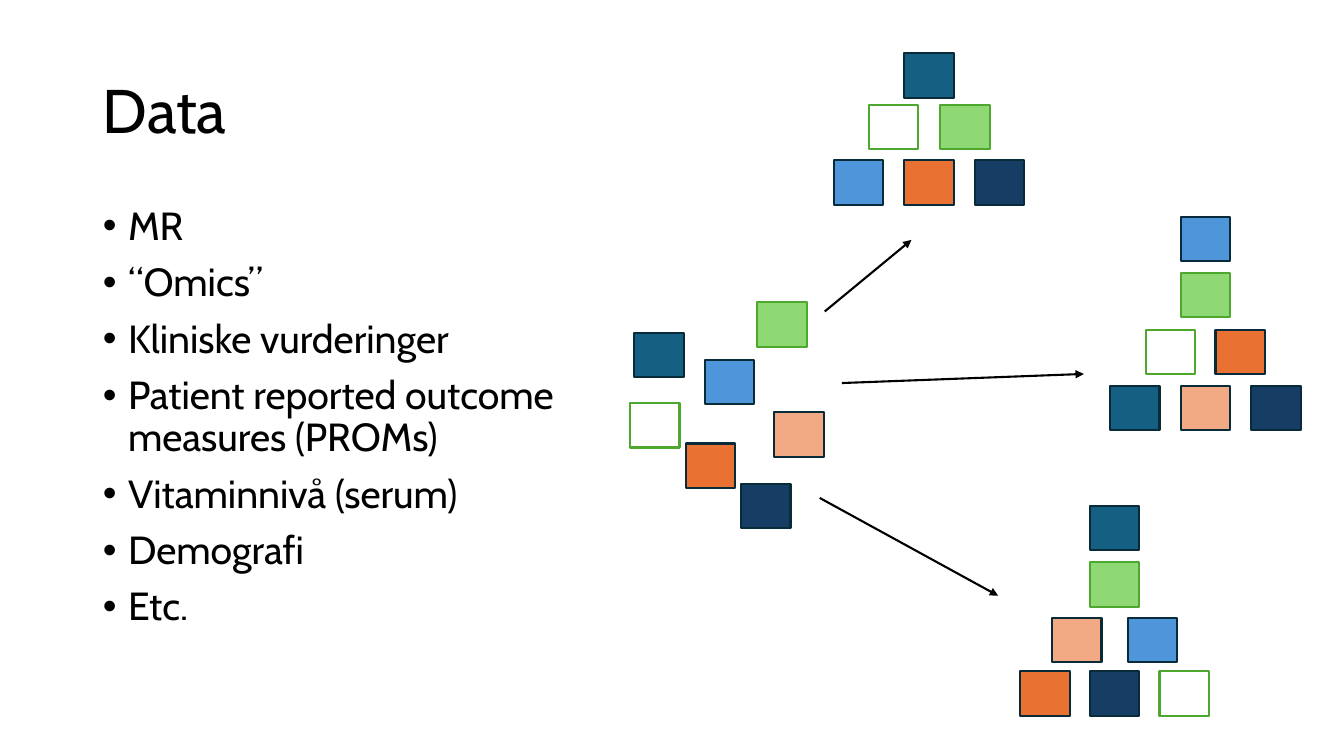
from lxml.etree import SubElement as Sub
from pptx import Presentation
from pptx.dml.color import RGBColor
from pptx.enum.shapes import MSO_CONNECTOR as Link, MSO_SHAPE as Shape
from pptx.enum.text import MSO_ANCHOR as Anchor, MSO_AUTO_SIZE as Fit, PP_ALIGN as Align
from pptx.oxml.ns import qn
from pptx.util import Pt

PX = 9144  # 100 px to the inch
FONT = "Cabin"
WIDE, HIGH = 49, 44  # one block
DARK, EDGE = "092A39", "4EA72E"
# name: fill, outline
BLOCKS = {
    "navy": ("163E64", DARK),
    "orange": ("E97132", DARK),
    "white": ("FFFFFF", EDGE),
    "blue": ("4E95D9", DARK),
    "peach": ("F2AA84", DARK),
    "teal": ("156082", DARK),
    "green": ("8ED973", EDGE),
}
ITEMS = [
    "MR", "“Omics”", "Kliniske vurderinger",
    "Patient reported outcome measures (PROMs)",
    "Vitaminnivå (serum)", "Demografi", "Etc.",
]
# Loose blocks: name, left, top inside the heap
HEAP = [
    ("navy", 110, 180), ("orange", 55, 140), ("white", 0, 100),
    ("blue", 74, 57), ("peach", 143, 109), ("teal", 4, 30), ("green", 126, 0),
]
# Pyramids: left of the top block, top, then rows of (drop, step, names)
PILES = [
    (897, 53, [(0, 0, ["teal"]), (51, 71, ["white", "green"]),
               (106, 70, ["blue", "orange", "navy"])]),
    (1171, 215, [(0, 0, ["blue"]), (56, 0, ["green"]),
                 (112, 69, ["white", "orange"]),
                 (168, 70, ["teal", "peach", "navy"])]),
    (1081, 502, [(0, 0, ["teal"]), (56, 0, ["green"]),
                 (111, 75, ["peach", "blue"]),
                 (164, 69, ["orange", "navy", "white"])]),
]
ARROWS = [(818, 309, 904, 238), (835, 380, 1075, 371), (813, 494, 990, 591)]


def px(*sizes):
    return [round(size * PX) for size in sizes]


def color(code):
    return RGBColor.from_string(code)


def place(holder, box):
    holder.left, holder.top, holder.width, holder.height = px(*box)
    holder.text_frame.auto_size = Fit.NONE
    holder.text_frame.word_wrap = True


def style(para, size):
    para.alignment = Align.LEFT
    para.line_spacing = 0.9
    para.font.name = FONT
    para.font.size = Pt(size)
    para.font.color.rgb = color("000000")


def head(slide, box):
    title = slide.shapes.title
    place(title, box)
    title.text_frame.text = "Data"
    title.text_frame.vertical_anchor = Anchor.MIDDLE
    style(title.text_frame.paragraphs[0], 44)


def points(slide, box):
    body = slide.placeholders[1]
    place(body, box)
    frame = body.text_frame
    frame.vertical_anchor = Anchor.TOP
    for i, item in enumerate(ITEMS):
        para = frame.paragraphs[0] if i == 0 else frame.add_paragraph()
        para.text = item
        props = para._p.get_or_add_pPr()
        indent = px(25)[0]
        props.set("marL", str(indent))
        props.set("indent", str(-indent))
        Sub(props, qn("a:buFont"), typeface="Arial")
        Sub(props, qn("a:buChar"), char="•")
        style(para, 28)
        para.space_before = Pt(10 if i else 0)


def block(slide, name, left, top):
    fill, edge = BLOCKS[name]
    rect = slide.shapes.add_shape(Shape.RECTANGLE, *px(left, top, WIDE, HIGH))
    rect.shadow.inherit = False
    rect.fill.solid()
    rect.fill.fore_color.rgb = color(fill)
    rect.line.color.rgb = color(edge)
    rect.line.width = Pt(1.5)


def heap(slide, left, top):
    for name, x, y in HEAP:
        block(slide, name, left + x, top + y)


def pile(slide, left, top, rows):
    # Each row is centred under the top block
    for drop, step, names in rows:
        start = left - step * (len(names) - 1) / 2
        for i, name in enumerate(names):
            block(slide, name, start + i * step, top + drop)


def arrow(slide, ends):
    link = slide.shapes.add_connector(Link.STRAIGHT, *px(*ends))
    link.line.color.rgb = color("000000")
    link.line.width = Pt(1.5)
    Sub(link.line._get_or_add_ln(), qn("a:tailEnd"), type="triangle")
    Sub(link._element.spPr, qn("a:effectLst"))


def main():
    deck = Presentation()
    deck.slide_width, deck.slide_height = px(1333, 750)
    slide = deck.slides.add_slide(deck.slide_layouts[1])
    # Text
    head(slide, (92, 40, 1150, 145))
    points(slide, (92, 200, 596, 476))
    # Loose data, sorted in three ways
    heap(slide, 625, 300)
    for left, top, rows in PILES:
        pile(slide, left, top, rows)
    for ends in ARROWS:
        arrow(slide, ends)
    deck.save("out.pptx")


if __name__ == "__main__":
    main()
